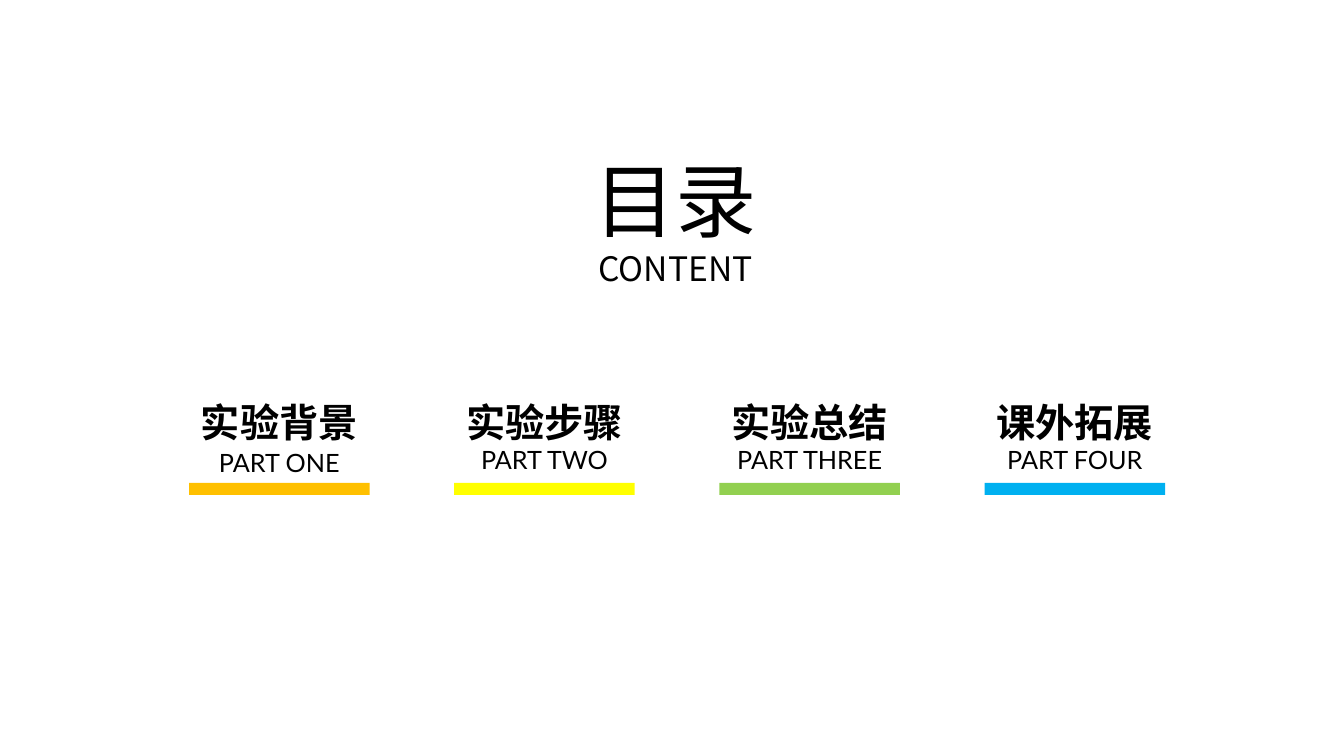
"""Build the contents slide with its four coloured parts."""
from dataclasses import dataclass

import lxml.etree
import pptx
import pptx.dml.color
import pptx.enum.shapes
import pptx.enum.text
import pptx.oxml.ns
import pptx.slide
import pptx.util

Inches = pptx.util.Inches
RGBColor = pptx.dml.color.RGBColor

BLACK = RGBColor(0x00, 0x00, 0x00)
ORANGE = RGBColor(0xFF, 0xC0, 0x00)
YELLOW = RGBColor(0xFF, 0xFF, 0x00)
GREEN = RGBColor(0x92, 0xD0, 0x50)
BLUE = RGBColor(0x00, 0xB0, 0xF0)

LATIN_FONT = "Lato"
CHINESE_FONT = "Noto Sans CJK SC"

FIRST_CENTER = 2.77
PART_PITCH = 2.63
HEADING_WIDTH = 1.92
BAR_WIDTH = 1.79


@dataclass(frozen=True)
class Part:
    heading: str
    caption: str
    color: RGBColor
    caption_top: float = 4.27


PARTS = [
    Part("实验背景", "PART ONE", ORANGE, caption_top=4.3),
    Part("实验步骤", "PART TWO", YELLOW),
    Part("实验总结", "PART THREE", GREEN),
    Part("课外拓展", "PART FOUR", BLUE),
]


def add_text(slide: pptx.slide.Slide, lines: list[tuple[str, float]], *,
             center: float, top: float, width: float, height: float,
             font: str = LATIN_FONT, bold: bool = False,
             spacing: float = 1.3, wrap: bool = True) -> None:
    box = slide.shapes.add_textbox(
        Inches(center - width / 2), Inches(top), Inches(width), Inches(height))
    frame = box.text_frame
    frame.word_wrap = wrap
    frame.auto_size = pptx.enum.text.MSO_AUTO_SIZE.SHAPE_TO_FIT_TEXT
    for index, (text, size) in enumerate(lines):
        paragraph = frame.add_paragraph() if index else frame.paragraphs[0]
        paragraph.alignment = pptx.enum.text.PP_ALIGN.CENTER
        paragraph.line_spacing = spacing
        run = paragraph.add_run()
        run.text = text
        run.font.size = pptx.util.Pt(size)
        run.font.bold = bold
        run.font.color.rgb = BLACK
        run.font.name = font
        east_asian = lxml.etree.SubElement(
            run.font._element, pptx.oxml.ns.qn("a:ea"))
        east_asian.set("typeface", CHINESE_FONT)


def add_part(slide: pptx.slide.Slide, part: Part, center: float) -> None:
    add_text(slide, [(part.caption, 18)], center=center,
             top=part.caption_top, width=HEADING_WIDTH, height=0.49)
    add_text(slide, [(part.heading, 28)], center=center,
             top=3.76, width=HEADING_WIDTH, height=0.71, bold=True)
    bar = slide.shapes.add_shape(
        pptx.enum.shapes.MSO_SHAPE.RECTANGLE, Inches(center - BAR_WIDTH / 2),
        Inches(4.79), Inches(BAR_WIDTH), Inches(0.12))
    bar.shadow.inherit = False
    bar.fill.solid()
    bar.fill.fore_color.rgb = part.color
    bar.line.fill.background()


def main() -> None:
    presentation = pptx.Presentation()
    presentation.slide_width = Inches(13.33)
    presentation.slide_height = Inches(7.5)
    slide = presentation.slides.add_slide(presentation.slide_layouts[6])
    add_text(slide, [("目录", 58), ("CONTENT", 24)], center=6.7, top=1.44,
             width=1.82, height=1.48, font=CHINESE_FONT, spacing=1.0, wrap=False)
    for index, part in enumerate(PARTS):
        add_part(slide, part, FIRST_CENTER + index * PART_PITCH)
    presentation.save("out.pptx")


if __name__ == "__main__":
    main()
